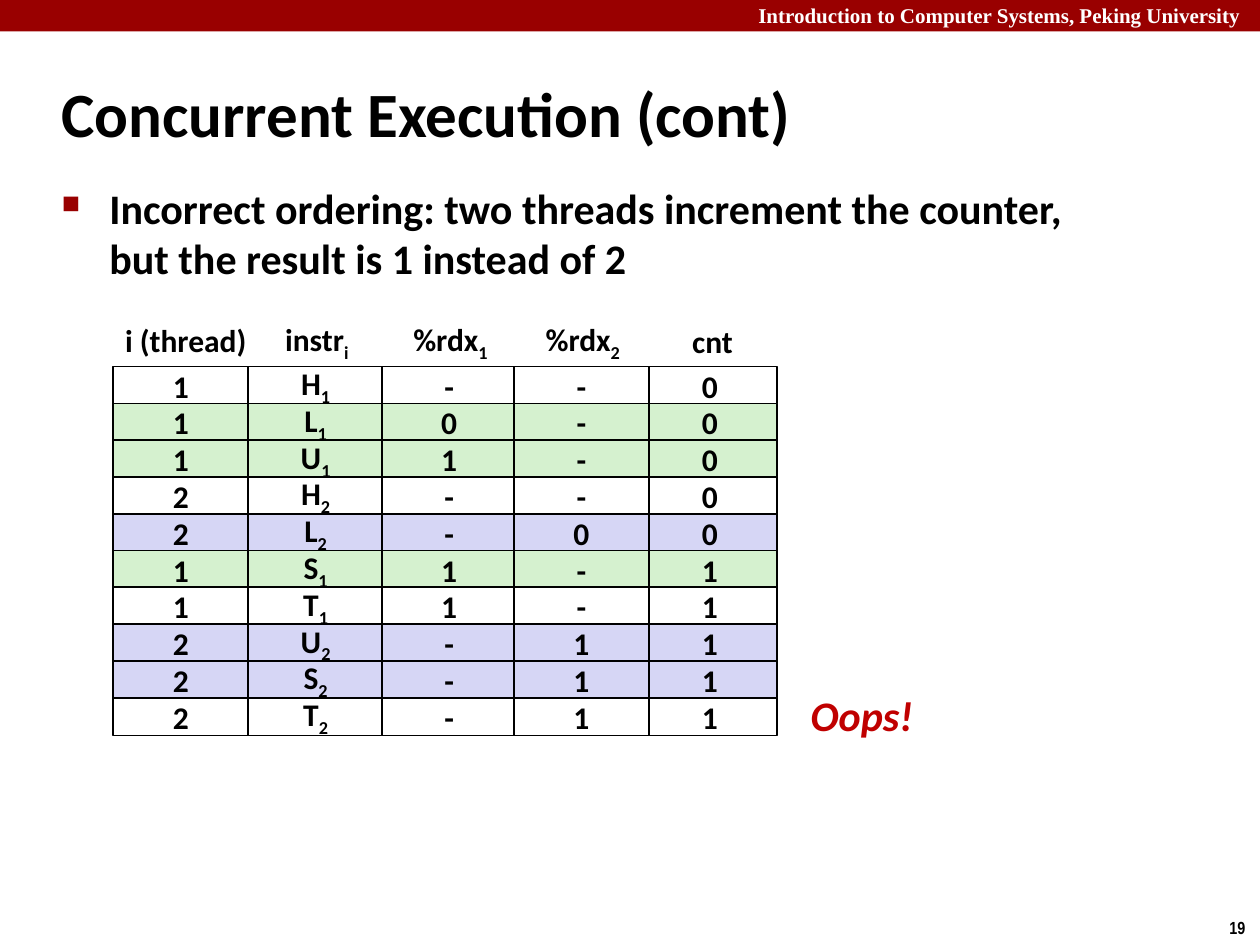
from dataclasses import dataclass

from lxml.etree import SubElement
from pptx import Presentation
from pptx.dml.color import RGBColor
from pptx.enum.shapes import MSO_SHAPE as Shape
from pptx.enum.text import MSO_ANCHOR as Anchor, MSO_AUTO_SIZE as AutoSize, PP_ALIGN as Align
from pptx.oxml.ns import qn
from pptx.util import Inches, Pt

RED, BLACK, WHITE = "990000", "000000", "FFFFFF"
THREAD_FILLS = {"1": "D5F1CF", "2": "D6D6F5"}
COUNTER_STEPS = "LUS"  # load, update, store

GRID_TOP, ROW_PITCH = 2.91, 0.292
CELL_WIDTH, CELL_HEIGHT = 1.07, 0.3


@dataclass(frozen=True)
class TextStyle:
    size: float = 18
    color: str = BLACK
    font: str = "Calibri"
    italic: bool = False


@dataclass(frozen=True)
class Column:
    header: str
    header_left: float
    header_top: float
    header_width: float
    left: float
    values: tuple


# An underscore marks the start of a subscript.
COLUMNS = (
    Column("i (thread)", 0.89, 2.5, 1.17, 0.9, tuple("1112211222")),
    Column("instr_i", 2.16, 2.51, 0.71, 1.97,
           ("H_1", "L_1", "U_1", "H_2", "L_2", "S_1", "T_1", "U_2", "S_2", "T_2")),
    Column("%rdx_1", 3.17, 2.51, 0.81, 3.03, tuple("-01--11---")),
    Column("cnt", 5.39, 2.51, 0.53, 5.1, tuple("0000011111")),
    Column("%rdx_2", 4.22, 2.51, 0.81, 4.08, tuple("----0--111")),
)


def rgb(color: str) -> RGBColor:
    return RGBColor.from_string(color)


def write(paragraph, text: str, style: TextStyle) -> None:
    """Write bold text, lowering whatever follows an underscore."""
    for index, part in enumerate(text.split("_")):
        run = paragraph.add_run()
        run.text = part
        font = run.font
        font.name, font.size = style.font, Pt(style.size)
        font.bold, font.italic = True, style.italic
        font.color.rgb = rgb(style.color)
        if index:
            run._r.get_or_add_rPr().set("baseline", "-25000")


def add_text(slide, box: tuple, text: str, style: TextStyle = TextStyle(),
             align=Align.LEFT, anchor=Anchor.TOP, wrap: bool = True,
             grow: bool = False):
    shape = slide.shapes.add_textbox(*map(Inches, box))
    frame = shape.text_frame
    frame.word_wrap = wrap
    frame.vertical_anchor = anchor
    if grow:
        frame.auto_size = AutoSize.SHAPE_TO_FIT_TEXT
    paragraph = frame.paragraphs[0]
    paragraph.alignment = align
    write(paragraph, text, style)
    return shape


def add_label(slide, box: tuple, text: str, style: TextStyle = TextStyle()) -> None:
    add_text(slide, box, text, style, Align.CENTER, Anchor.MIDDLE, wrap=False, grow=True)


def add_rectangle(slide, box: tuple, fill: str):
    shape = slide.shapes.add_shape(Shape.RECTANGLE, *map(Inches, box))
    shape.shadow.inherit = False
    shape.fill.solid()
    shape.fill.fore_color.rgb = rgb(fill)
    shape.line.fill.background()
    return shape


def add_cell(slide, left: float, top: float, text: str, fill: str) -> None:
    shape = add_rectangle(slide, (left, top, CELL_WIDTH, CELL_HEIGHT), fill)
    shape.line.color.rgb = rgb(BLACK)
    shape.line.width = Pt(1)
    frame = shape.text_frame
    frame.vertical_anchor = Anchor.MIDDLE
    paragraph = frame.paragraphs[0]
    paragraph.alignment = Align.CENTER
    write(paragraph, text, TextStyle())


def hang(paragraph, indent: float):
    properties = paragraph._p.get_or_add_pPr()
    properties.set("marL", str(Inches(indent)))
    properties.set("indent", str(-Inches(indent)))
    return properties


def add_bullet(paragraph) -> None:
    properties = hang(paragraph, 0.38)
    color = SubElement(properties, qn("a:buClr"))
    SubElement(color, qn("a:srgbClr")).set("val", RED)
    SubElement(properties, qn("a:buSzPct")).set("val", "60000")
    SubElement(properties, qn("a:buChar")).set("char", "■")


def add_trace(slide) -> None:
    """Draw the execution trace, filling the rows that touch the counter."""
    threads, instructions = COLUMNS[0].values, COLUMNS[1].values
    fills = [THREAD_FILLS[thread] if instruction[0] in COUNTER_STEPS else WHITE
             for thread, instruction in zip(threads, instructions)]
    for column in COLUMNS:
        for row, (value, fill) in enumerate(zip(column.values, fills)):
            add_cell(slide, column.left, GRID_TOP + row * ROW_PITCH, value, fill)
        add_label(slide, (column.header_left, column.header_top, column.header_width, 0.4),
                  column.header)


def main() -> None:
    presentation = Presentation()
    presentation.slide_width, presentation.slide_height = Inches(10), Inches(7.5)
    slide = presentation.slides.add_slide(presentation.slide_layouts[6])

    add_rectangle(slide, (0, 0, 10, 0.25), RED)
    add_text(slide, (5.92, -0.03, 4.15, 0.3),
             "Introduction to Computer Systems, Peking University",
             TextStyle(12, WHITE, "Times New Roman"), grow=True)
    add_text(slide, (9.66, 7.23, 0.34, 0.27), "19",
             TextStyle(10, font="Arial Narrow"), wrap=False, grow=True)

    title = add_text(slide, (0.39, 0.48, 8.3, 0.83), "Concurrent Execution (cont)",
                     TextStyle(36), anchor=Anchor.MIDDLE)
    hang(title.text_frame.paragraphs[0], 0.13)

    body = add_text(slide, (0.39, 1.4, 8.64, 0.94),
                    "Incorrect ordering: two threads increment the counter, "
                    "but the result is 1 instead of 2", TextStyle(24))
    body.text_frame.margin_right = Inches(0.2)
    add_bullet(body.text_frame.paragraphs[0])

    add_trace(slide)
    add_label(slide, (6.33, 5.42, 1.02, 0.5), "Oops!", TextStyle(24, "C00000", italic=True))
    presentation.save("out.pptx")


if __name__ == "__main__":
    main()
